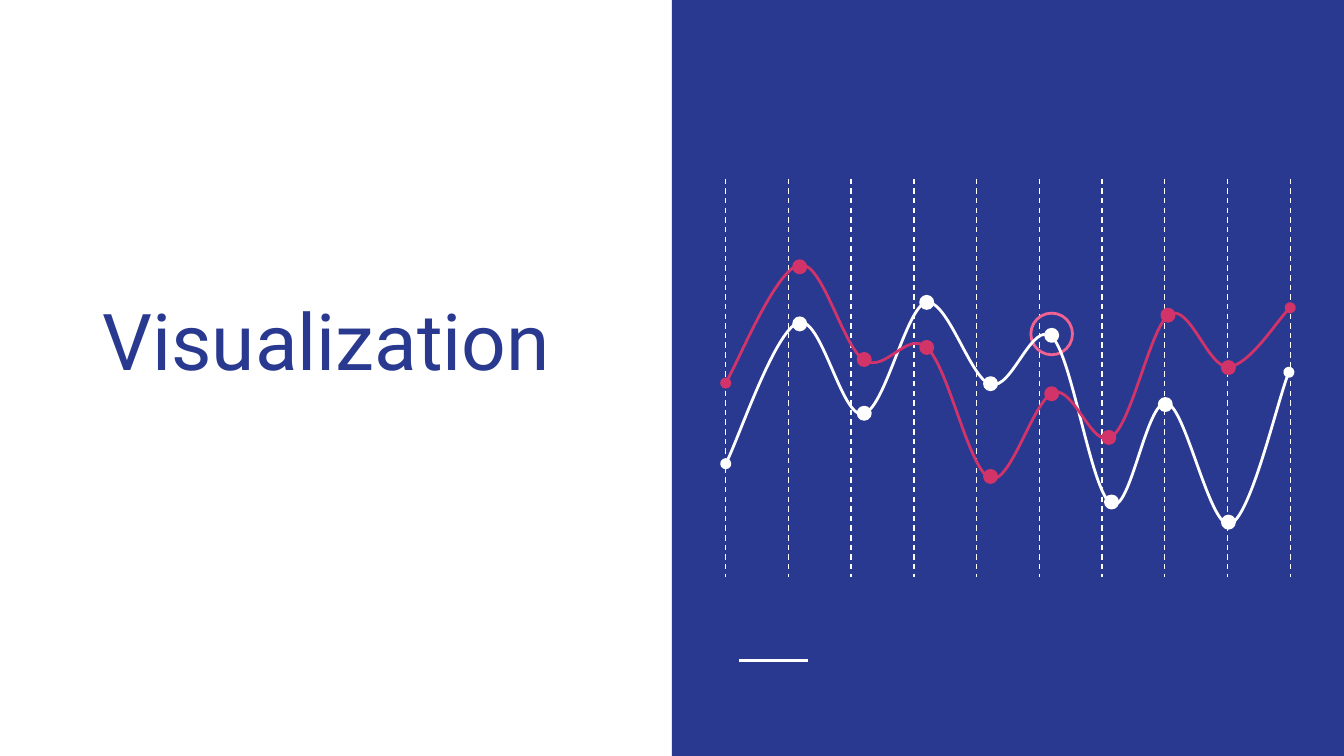
import pptx
import pptx.dml.color
import pptx.enum.dml
import pptx.enum.shapes
import pptx.enum.text
import pptx.oxml.ns
import pptx.util
from lxml import etree

COLORS = {"white": "FFFFFF", "navy": "2A3990", "red": "D23369", "pink": "F06292"}

# The slide is a grid of square cells, 100 columns by 56.25 rows
COLUMNS, ROWS = 100, 56.25
CELL = pptx.util.Inches(0.1)

GUIDE_COUNT, GUIDE_LEFT, GUIDE_RIGHT = 10, 54, 96
GUIDE_TOP, GUIDE_BOTTOM = 13.3, 42.9
DOT_SIZE = 0.9

# Each curve: a start, then (first control, second control, end) per segment
WHITE_CURVE = [
    (54, 34.5),
    (54.9, 32.8), (57.7, 24.6), (59.4, 24),
    (61.1, 23.4), (62.6, 31.1), (64.2, 30.8),
    (65.8, 30.6), (67.4, 22.9), (68.9, 22.5),
    (70.5, 22.2), (72.2, 28.2), (73.7, 28.6),
    (75.3, 29.1), (76.8, 23.7), (78.3, 25.1),
    (79.8, 26.6), (81.2, 36.7), (82.7, 37.5),
    (84.1, 38.3), (85.3, 29.7), (86.8, 30),
    (88.2, 30.2), (90, 39.3), (91.5, 39),
    (93, 38.6), (95.1, 29.6), (95.9, 27.7),
]
RED_CURVE = [
    (54, 28.5),
    (54.9, 27), (57.8, 20), (59.5, 19.7),
    (61.2, 19.4), (62.7, 25.8), (64.3, 26.8),
    (65.9, 27.8), (67.5, 24.5), (69, 25.9),
    (70.6, 27.4), (72.1, 35), (73.7, 35.6),
    (75.2, 36.1), (76.9, 29.7), (78.4, 29.2),
    (79.9, 28.7), (81.3, 33.5), (82.7, 32.5),
    (84.2, 31.6), (85.6, 24.3), (87, 23.4),
    (88.5, 22.5), (89.9, 27.4), (91.4, 27.3),
    (92.9, 27.2), (95.2, 23.6), (96, 22.9),
]

# Dot centers, set by eye close to the curves' turning points
WHITE_DOTS = [(91.4, 38.85), (86.7, 30.1), (82.7, 37.35), (78.25, 24.95),
              (73.7, 28.55), (68.95, 22.5), (64.3, 30.75), (59.5, 24.1)]
RED_DOTS = [(59.5, 19.85), (64.3, 26.75), (68.95, 25.85), (73.7, 35.45),
            (78.25, 29.3), (82.5, 32.55), (86.9, 23.45), (91.4, 27.35)]


def cells(count):
    return pptx.util.Emu(round(count * CELL))


def rgb(name):
    return pptx.dml.color.RGBColor.from_string(COLORS[name])


def style_shape(shape, fill=None, line=None):
    shape.shadow.inherit = False
    if fill:
        shape.fill.solid()
        shape.fill.fore_color.rgb = rgb(fill)
    else:
        shape.fill.background()
    if line:
        shape.line.color.rgb = rgb(line)
        shape.line.width = pptx.util.Pt(1.5)
    else:
        shape.line.fill.background()


def add_preset(shapes, kind, left, top, width, height, fill=None, line=None):
    shape = shapes.add_shape(
        kind, cells(left), cells(top), cells(width), cells(height))
    style_shape(shape, fill, line)


def add_circle(shapes, center, size, fill=None, line=None):
    x, y = center
    add_preset(shapes, pptx.enum.shapes.MSO_SHAPE.OVAL,
               x - size / 2, y - size / 2, size, size, fill, line)


def add_line(shapes, start, end, points, dash=None):
    line = shapes.add_connector(
        pptx.enum.shapes.MSO_CONNECTOR.STRAIGHT,
        *[cells(value) for value in start + end])
    line.line.color.rgb = rgb("white")
    line.line.width = pptx.util.Pt(points)
    if dash:
        line.line.dash_style = dash
    etree.SubElement(line._element.spPr, pptx.oxml.ns.qn("a:effectLst"))


def add_guides(shapes):
    gap = (GUIDE_RIGHT - GUIDE_LEFT) / (GUIDE_COUNT - 1)
    for index in range(GUIDE_COUNT):
        x = GUIDE_LEFT + index * gap
        add_line(shapes, (x, GUIDE_TOP), (x, GUIDE_BOTTOM), 0.75,
                 pptx.enum.dml.MSO_LINE.DASH)


def bend_segments(curve, points):
    """Turn each straight segment into a cubic one with its two controls."""
    segments = list(curve._element.iter(pptx.oxml.ns.qn("a:lnTo")))
    for index, segment in enumerate(segments):
        segment.tag = pptx.oxml.ns.qn("a:cubicBezTo")
        controls = points[3 * index + 1:3 * index + 3]
        for position, (x, y) in enumerate(controls):
            point = segment.makeelement(
                pptx.oxml.ns.qn("a:pt"),
                {"x": str(cells(x) - curve.left), "y": str(cells(y) - curve.top)})
            segment.insert(position, point)


def add_curve(shapes, points, dots, color):
    knots = [(cells(x), cells(y)) for x, y in points[::3]]
    builder = shapes.build_freeform(*knots[0])
    builder.add_line_segments(knots[1:], close=False)
    curve = builder.convert_to_shape()
    bend_segments(curve, points)
    style_shape(curve, line=color)

    # Round markers at both ends of the line
    outline = curve.line._get_or_add_ln()
    for end in ("a:headEnd", "a:tailEnd"):
        etree.SubElement(outline, pptx.oxml.ns.qn(end), type="oval")

    for center in dots:
        add_circle(shapes, center, DOT_SIZE, color, color)


def add_title(shapes, text):
    box = shapes.add_textbox(cells(2.9), cells(12.6), cells(44.2), cells(17.1))
    frame = box.text_frame
    frame.word_wrap = True
    frame.vertical_anchor = pptx.enum.text.MSO_ANCHOR.BOTTOM
    frame.margin_left = frame.margin_right = cells(1)
    frame.margin_top = frame.margin_bottom = cells(1)
    frame.text = text
    para = frame.paragraphs[0]
    para.alignment = pptx.enum.text.PP_ALIGN.CENTER
    font = para.runs[0].font
    font.name = "Roboto"
    font.size = pptx.util.Pt(42)
    font.color.rgb = rgb("navy")


def main():
    deck = pptx.Presentation()
    deck.slide_width, deck.slide_height = cells(COLUMNS), cells(ROWS)
    shapes = deck.slides.add_slide(deck.slide_layouts[6]).shapes

    # Right half panel with its short accent line
    add_preset(shapes, pptx.enum.shapes.MSO_SHAPE.RECTANGLE,
               COLUMNS / 2, 0, COLUMNS / 2, ROWS, fill="navy")
    add_line(shapes, (55, 49.15), (60.1, 49.15), 1.5)

    # Evenly spaced dashed guides, highlight ring and title
    add_guides(shapes.add_group_shape().shapes)
    add_circle(shapes, (78.25, 24.85), 3.1, line="pink")
    add_title(shapes, "Visualization ")

    # One group per curve with its dots
    for points, dots, color in ((WHITE_CURVE, WHITE_DOTS, "white"),
                                (RED_CURVE, RED_DOTS, "red")):
        add_curve(shapes.add_group_shape().shapes, points, dots, color)

    deck.save("out.pptx")


if __name__ == "__main__":
    main()
